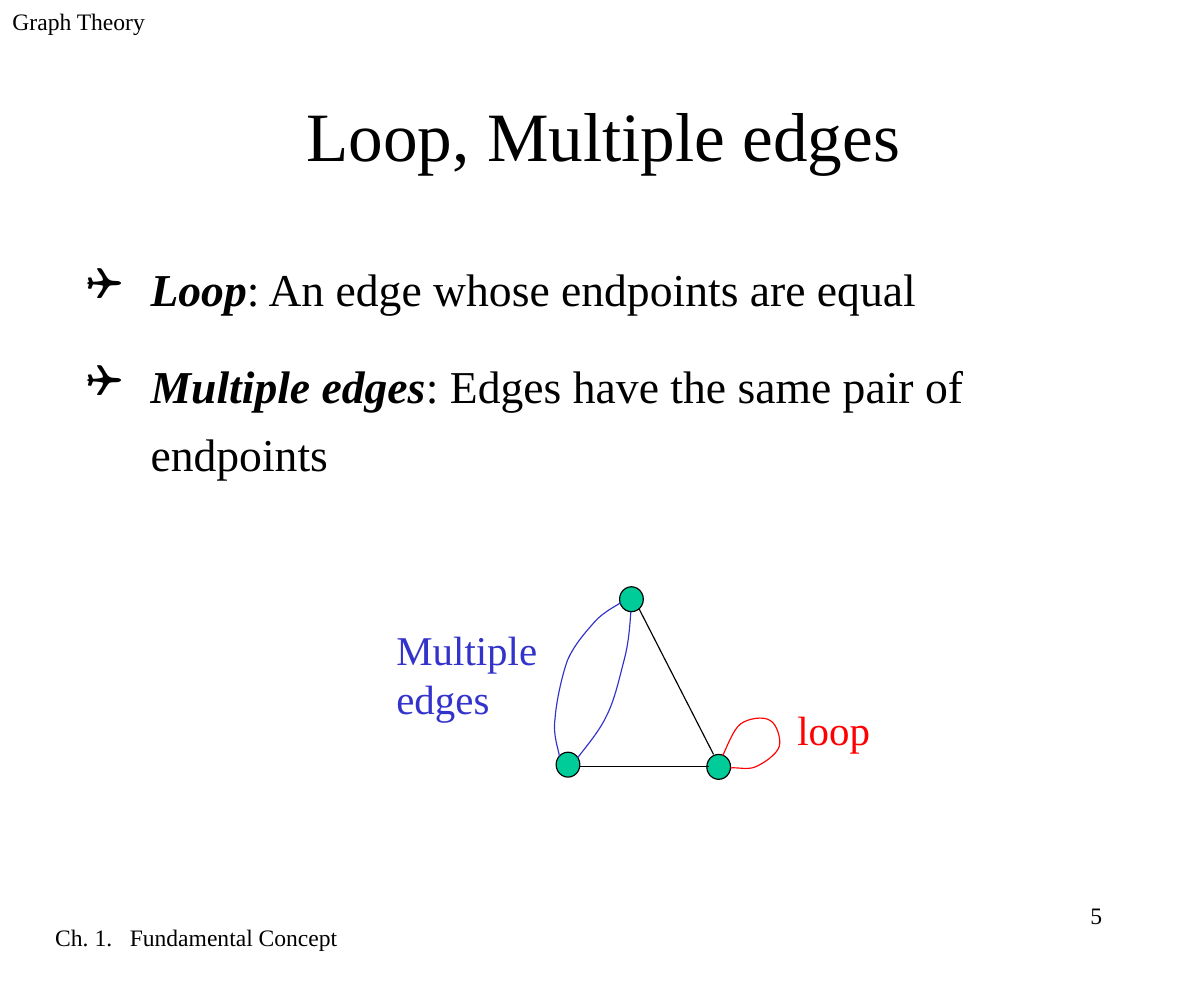
from lxml import etree
from pptx import Presentation
from pptx.dml.color import RGBColor
from pptx.enum.shapes import MSO_CONNECTOR, MSO_SHAPE
from pptx.enum.text import MSO_ANCHOR, PP_ALIGN
from pptx.oxml.ns import qn
from pptx.util import Pt

EMU_PER_PX = 9144
LEFT, CENTER, RIGHT = PP_ALIGN.LEFT, PP_ALIGN.CENTER, PP_ALIGN.RIGHT
TOP, MIDDLE = MSO_ANCHOR.TOP, MSO_ANCHOR.MIDDLE
STRAIGHT, OVAL = MSO_CONNECTOR.STRAIGHT, MSO_SHAPE.OVAL

COLORS = {"text": "000000", "multiple": "3333CC", "loop": "FF0000", "vertex": "00CC99"}
FONT = "Times New Roman"
LINE_WIDTH = Pt(0.75)
BULLET, BULLET_FONT = "❑", "Wingdings"
BULLET_INDENT = 57

VERTEX_SIZE = (21, 22)
VERTICES = [(547, 518), (491, 664), (624, 666)]
SINGLE_EDGES = [((512, 677), (626, 677)), ((564, 537), (630, 666))]
# Each curve is a start point, then two control points and an end point per segment.
CURVED_EDGES = [
    ("multiple", [(548, 532), (544, 535), (533, 540), (525, 549), (518, 557), (507, 569),
                  (501, 583), (496, 597), (491, 620), (490, 635), (488, 649), (493, 661),
                  (494, 668)]),
    ("multiple", [(557, 540), (556, 554), (555, 568), (551, 583), (547, 598), (543, 617),
                  (536, 631), (529, 646), (519, 657), (510, 669)]),
    ("loop", [(638, 667), (641, 662), (647, 644), (654, 639), (661, 634), (674, 632),
              (680, 636), (686, 639), (690, 653), (688, 659), (686, 666), (674, 674),
              (667, 677), (660, 680), (650, 677), (645, 678)]),
]


def px(value):
    return round(value * EMU_PER_PX)


def rgb(name):
    return RGBColor.from_string(COLORS[name])


def set_values(target, values):
    for name, value in values.items():
        setattr(target, name, value)


class SlideBuilder:
    def __init__(self, slide):
        self.shapes = slide.shapes

    def text(self, box, paragraphs, size, color="text", anchor=TOP, wrap=True,
             bullet=False, **paragraph_format):
        """Add a text box; each paragraph is a list of (text, emphasized) runs."""
        frame = self.shapes.add_textbox(*map(px, box)).text_frame
        set_values(frame, {
            "word_wrap": wrap, "vertical_anchor": anchor,
            "margin_left": px(11), "margin_right": px(11),
            "margin_top": px(6), "margin_bottom": px(6),
        })
        for index, runs in enumerate(paragraphs):
            paragraph = frame.add_paragraph() if index else frame.paragraphs[0]
            set_values(paragraph, paragraph_format)
            if bullet:
                self.add_bullet(paragraph)
            for text, emphasized in runs:
                run = paragraph.add_run()
                run.text = text
                set_values(run.font, {"name": FONT, "size": Pt(size),
                                      "bold": emphasized, "italic": emphasized})
                run.font.color.rgb = rgb(color)

    def add_bullet(self, paragraph):
        properties = paragraph._p.get_or_add_pPr()
        properties.set("marL", str(px(BULLET_INDENT)))
        properties.set("indent", str(px(-BULLET_INDENT)))
        bullet_color = etree.SubElement(properties, qn("a:buClr"))
        etree.SubElement(bullet_color, qn("a:srgbClr"), val=COLORS["text"])
        etree.SubElement(properties, qn("a:buFont"), typeface=BULLET_FONT, charset="2")
        etree.SubElement(properties, qn("a:buChar"), char=BULLET)

    def outline(self, shape, color):
        shape.line.color.rgb = rgb(color)
        shape.line.width = LINE_WIDTH

    def vertex(self, left, top):
        shape = self.shapes.add_shape(OVAL, *map(px, (left, top, *VERTEX_SIZE)))
        shape.shadow.inherit = False
        shape.fill.solid()
        shape.fill.fore_color.rgb = rgb("vertex")
        self.outline(shape, "text")

    def straight_edge(self, start, end):
        connector = self.shapes.add_connector(STRAIGHT, *map(px, start + end))
        self.outline(connector, "text")
        etree.SubElement(connector._element.spPr, qn("a:effectLst"))

    def curved_edge(self, color, points):
        """Build a freeform through the end points, then bend each segment."""
        points = [(px(x), px(y)) for x, y in points]
        builder = self.shapes.build_freeform(*points[0])
        builder.add_line_segments(points[3::3], close=False)
        shape = builder.convert_to_shape()
        for index, segment in enumerate(list(shape._element.iter(qn("a:lnTo")))):
            curve = etree.Element(qn("a:cubicBezTo"))
            for x, y in points[3 * index + 1:3 * index + 4]:
                etree.SubElement(curve, qn("a:pt"),
                                 x=str(x - shape.left), y=str(y - shape.top))
            segment.getparent().replace(segment, curve)
        shape.shadow.inherit = False
        shape.fill.background()
        self.outline(shape, color)


def main():
    presentation = Presentation()
    set_values(presentation, {"slide_width": px(1063), "slide_height": px(866)})
    slide = SlideBuilder(presentation.slides.add_slide(presentation.slide_layouts[6]))

    slide.text((0, 0, 222, 58), [[("Graph Theory", False)]], 15, alignment=LEFT)
    slide.text((0, 809, 347, 58), [[("Ch. 1.   Fundamental Concept", False)]], 15,
               alignment=CENTER)
    slide.text((762, 789, 222, 58), [[("5", False)]], 15, alignment=RIGHT)
    slide.text((56, 59, 954, 119), [[("Loop, Multiple edges", False)]], 44,
               anchor=MIDDLE, alignment=CENTER)
    definitions = [
        [("Loop", True), (": An edge whose endpoints are equal", False)],
        [("Multiple edges", True), (": Edges have the same pair of endpoints", False)],
    ]
    slide.text((65, 212, 944, 285), definitions, 29, bullet=True,
               line_spacing=1.25, space_before=Pt(18.1))
    slide.text((693, 616, 94, 54), [[("loop", False)]], 26, "loop", space_before=Pt(16.2))
    slide.text((339, 545, 156, 98), [[("Multiple", False)], [("edges", False)]], 26,
               "multiple", wrap=False)

    for vertex in VERTICES:
        slide.vertex(*vertex)
    for edge in SINGLE_EDGES:
        slide.straight_edge(*edge)
    for edge in CURVED_EDGES:
        slide.curved_edge(*edge)

    presentation.save("out.pptx")


if __name__ == "__main__":
    main()
